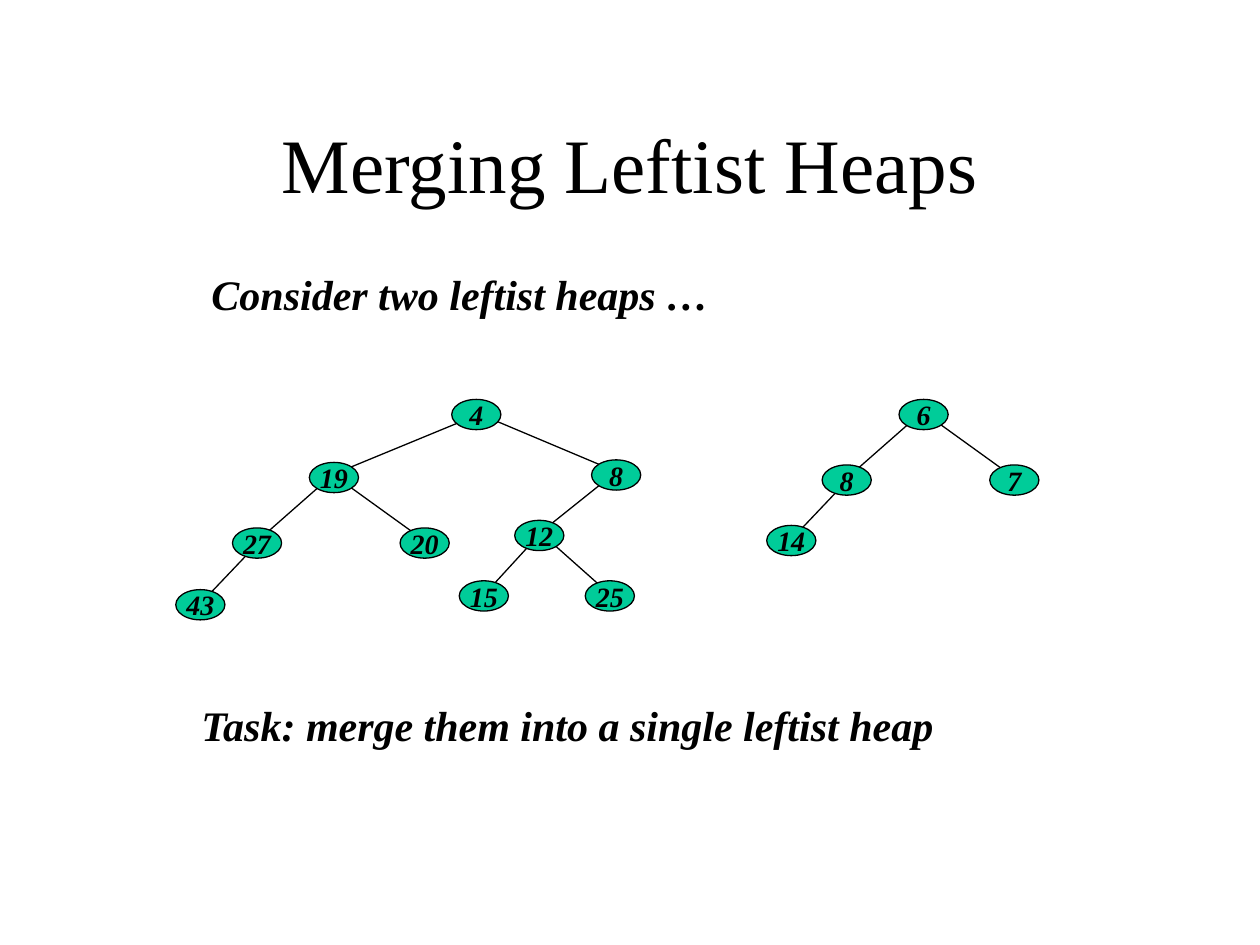
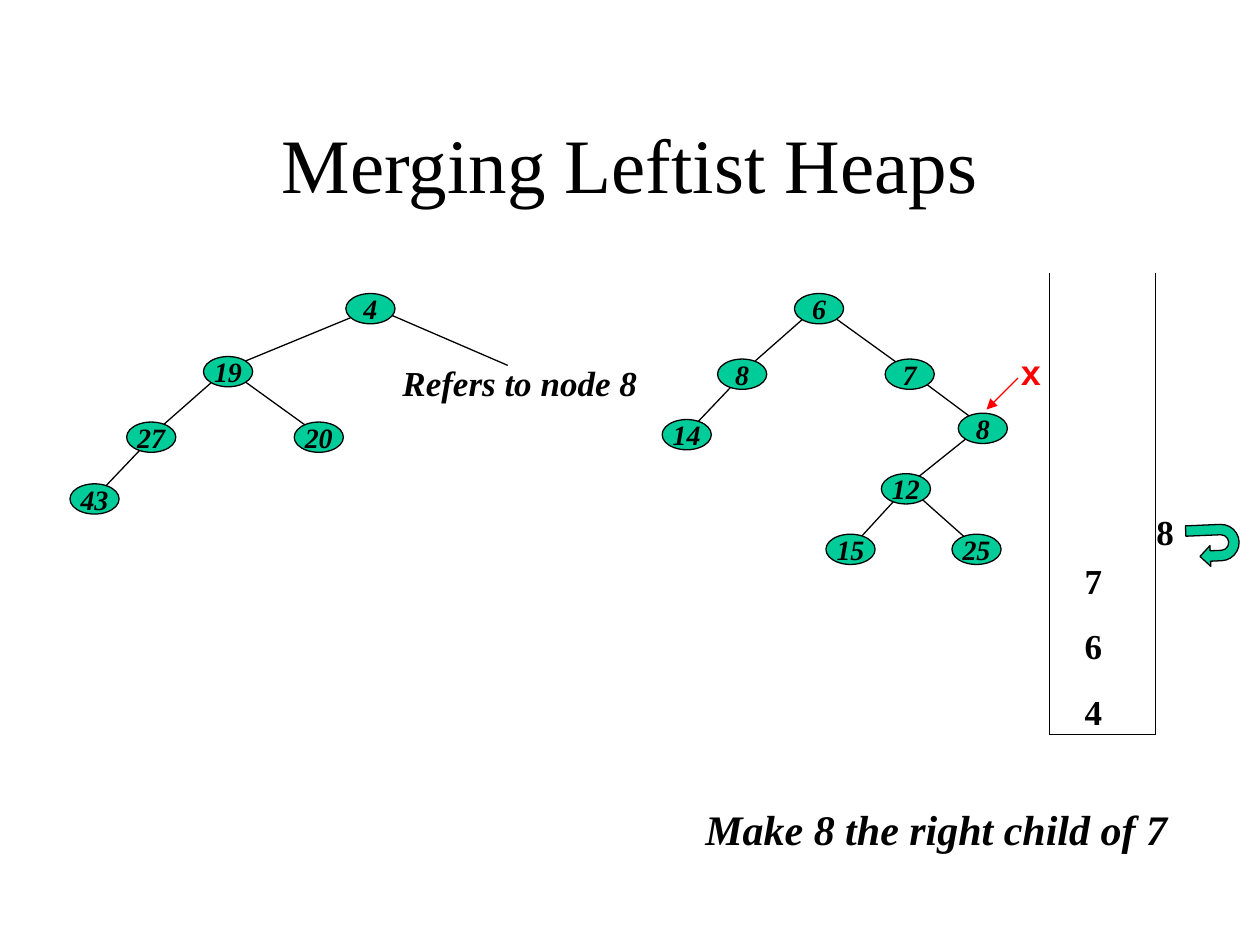
from dataclasses import dataclass, replace

from lxml import etree
from pptx import Presentation
from pptx import util as u
from pptx.dml.color import RGBColor
from pptx.enum import shapes, text
from pptx.oxml.ns import qn

Inches = u.Inches


@dataclass(frozen=True)
class Node:
    """A heap node: its centre lies dx, dy from its parent's centre.

    leave is where the edge starts, measured outward and down from the parent's centre.
    """
    label: str
    dx: float = 0
    dy: float = 0
    children: tuple = ()
    leave: tuple = (0.08, 0.04)


COLORS = {"ink": "000000", "node": "00CC99", "mark": "FF0000"}
TITLE = "Merging Leftist Heaps"
SERIF, MONO = "Times New Roman", "Courier New"
TITLE_FONT = {"name": SERIF, "size": u.Pt(44), "bold": False}
NODE_FONT = {"name": SERIF, "size": u.Pt(16), "bold": True, "italic": True}
CAPTION_FONT = {**NODE_FONT, "size": u.Pt(24)}
NOTE_FONT = {**NODE_FONT, "size": u.Pt(20)}
STACK_FONT = {**NOTE_FONT, "italic": False}
MARK_FONT = {**STACK_FONT, "name": MONO}

NODE_WIDTH, NODE_HEIGHT = 0.39, 0.24
ARRIVE = (0.03, 0.04)
LINE_WIDTH = u.Pt(0.75)

NODE_19 = Node("19", -1.13, 0.5, (
    Node("27", -0.61, 0.52, (Node("43", -0.45, 0.49, leave=(0.03, 0.04)),)),
    Node("20", 0.72, 0.52),
))
NODE_12 = Node("12", -0.61, 0.48, (
    Node("15", -0.44, 0.48, leave=(0.08, 0.08)),
    Node("25", 0.56, 0.48),
))
NODE_8 = Node("8", 1.11, 0.48, (NODE_12,), leave=(0.13, 0.04))
NODE_8_LEFT = Node("8", -0.61, 0.52, (Node("14", -0.44, 0.48, leave=(0.03, 0.04)),))
NODE_7 = Node("7", 0.72, 0.52)

HEAP_4 = Node("4", children=(NODE_19, NODE_8))
HEAP_6 = Node("6", children=(NODE_8_LEFT, NODE_7))
HEAP_4_CUT = Node("4", children=(NODE_19,))
NODE_7_LINKED = replace(NODE_7, children=(replace(NODE_8, dx=0.58, dy=0.43, leave=(0.08, 0.04)),))
HEAP_6_MERGED = Node("6", children=(NODE_8_LEFT, NODE_7_LINKED))

SLIDES = [
    {
        "heaps": [(HEAP_4, 3.78, 3.29), (HEAP_6, 7.33, 3.29)],
        "lines": [],
        "texts": [
            (["Consider two leftist heaps …"], (1.58, 2.08, 7.08, 0.5), CAPTION_FONT, "ink", "LEFT"),
            (["Task: merge them into a single leftist heap"], (1.5, 5.5, 6.83, 0.5),
             CAPTION_FONT, "ink", "LEFT"),
        ],
    },
    {
        "heaps": [(HEAP_4_CUT, 2.94, 2.45), (HEAP_6_MERGED, 6.5, 2.45)],
        "lines": [
            ((3.08, 2.49), (4.03, 2.9)),
            ((8.33, 2.17), (8.33, 5.83)),
            ((9.17, 2.17), (9.17, 5.83)),
            ((8.33, 5.83), (9.17, 5.83)),
        ],
        "pointer": ((8.08, 3), (7.83, 3.25)),
        "return_arrow": (9.46, 4.12, 0.33, 0.42),
        "texts": [
            (["Make 8 the right child of 7"], (5.5, 6.33, 4.17, 0.5), CAPTION_FONT, "ink", "LEFT"),
            (["7", "6", "4"], (8.51, 4.39, 0.62, 1.43), STACK_FONT, "ink", "LEFT"),
            (["x"], (8, 2.73, 0.33, 0.44), MARK_FONT, "mark", "CENTER"),
            (["8"], (9.08, 4, 0.33, 0.44), STACK_FONT, "ink", "CENTER"),
            (["Refers to node 8"], (3, 2.82, 2.25, 0.44), NOTE_FONT, "ink", "CENTER"),
        ],
    },
]


def color(name):
    return RGBColor.from_string(COLORS[name])


def write(frame, lines, font, ink="ink", align="CENTER"):
    for index, line in enumerate(lines):
        para = frame.add_paragraph() if index else frame.paragraphs[0]
        para.alignment = getattr(text.PP_ALIGN, align)
        para.space_before = u.Pt(13.5 if index else 0)
        span = para.add_run()
        span.text = line
        for key, value in font.items():
            setattr(span.font, key, value)
        span.font.color.rgb = color(ink)


def add_title(slide):
    title = slide.shapes.title
    title.left, title.top, title.width, title.height = map(Inches, (0.75, 0.67, 8.5, 1.25))
    title.text_frame.vertical_anchor = text.MSO_ANCHOR.MIDDLE
    write(title.text_frame, [TITLE], TITLE_FONT)


def add_line(slide, start, end, ink="ink", arrow=False):
    line = slide.shapes.add_connector(
        shapes.MSO_CONNECTOR.STRAIGHT, *map(Inches, (*start, *end)))
    line.line.color.rgb = color(ink)
    line.line.width = LINE_WIDTH
    if arrow:
        outline = line.line._get_or_add_ln()
        etree.SubElement(outline, qn("a:tailEnd"), type="triangle")
    etree.SubElement(line._element.spPr, qn("a:effectLst"))


def add_filled(slide, preset, place):
    shape = slide.shapes.add_shape(preset, *map(Inches, place))
    shape.shadow.inherit = False
    shape.fill.solid()
    shape.fill.fore_color.rgb = color("node")
    shape.line.color.rgb = color("ink")
    shape.line.width = LINE_WIDTH
    return shape


def add_heap(slide, node, x, y):
    """Draw the edges and subtrees first, so that each node covers its edge ends."""
    for child in node.children:
        side = 1 if child.dx > 0 else -1
        child_x, child_y = x + child.dx, y + child.dy
        add_line(slide, (x + side * child.leave[0], y + child.leave[1]),
                 (child_x - side * ARRIVE[0], child_y - ARRIVE[1]))
        add_heap(slide, child, child_x, child_y)
    place = (x - NODE_WIDTH / 2, y - NODE_HEIGHT / 2, NODE_WIDTH, NODE_HEIGHT)
    oval = add_filled(slide, shapes.MSO_SHAPE.OVAL, place)
    oval.text_frame.word_wrap = False
    oval.text_frame.vertical_anchor = text.MSO_ANCHOR.MIDDLE
    write(oval.text_frame, [node.label], NODE_FONT)


def add_text(slide, lines, place, font, ink, align):
    box = slide.shapes.add_textbox(*map(Inches, place))
    box.text_frame.word_wrap = True
    write(box.text_frame, lines, font, ink, align)


def main():
    deck = Presentation()
    deck.slide_width, deck.slide_height = Inches(10), Inches(7.5)
    for page in SLIDES:
        slide = deck.slides.add_slide(deck.slide_layouts[5])
        add_title(slide)
        for start, end in page["lines"]:
            add_line(slide, start, end)
        for heap, x, y in page["heaps"]:
            add_heap(slide, heap, x, y)
        if "pointer" in page:
            add_line(slide, *page["pointer"], ink="mark", arrow=True)
        if "return_arrow" in page:
            arrow = add_filled(slide, shapes.MSO_SHAPE.U_TURN_ARROW, page["return_arrow"])
            arrow.rotation = 87.6
        for entry in page["texts"]:
            add_text(slide, *entry)
    deck.save("out.pptx")


if __name__ == "__main__":
    main()
